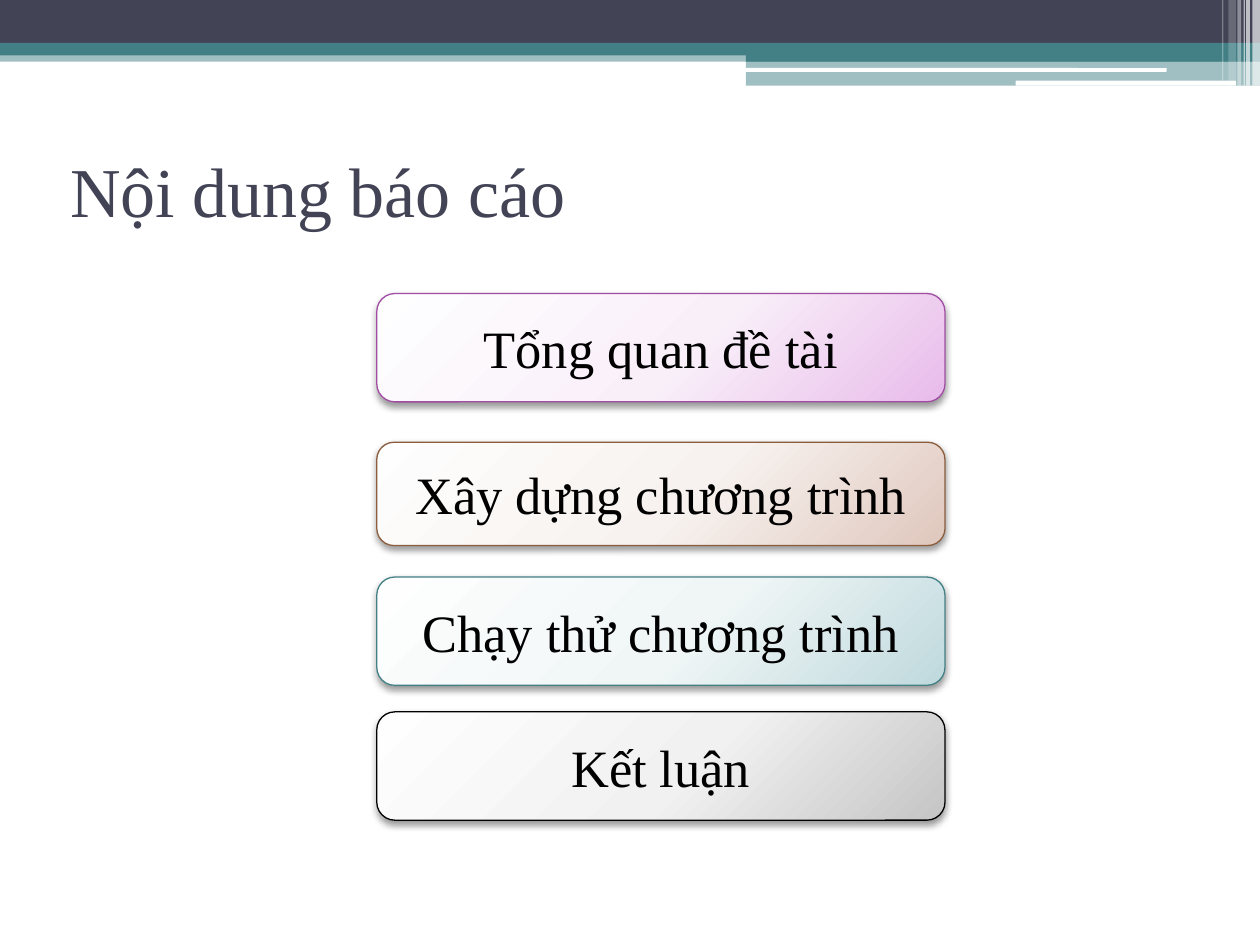
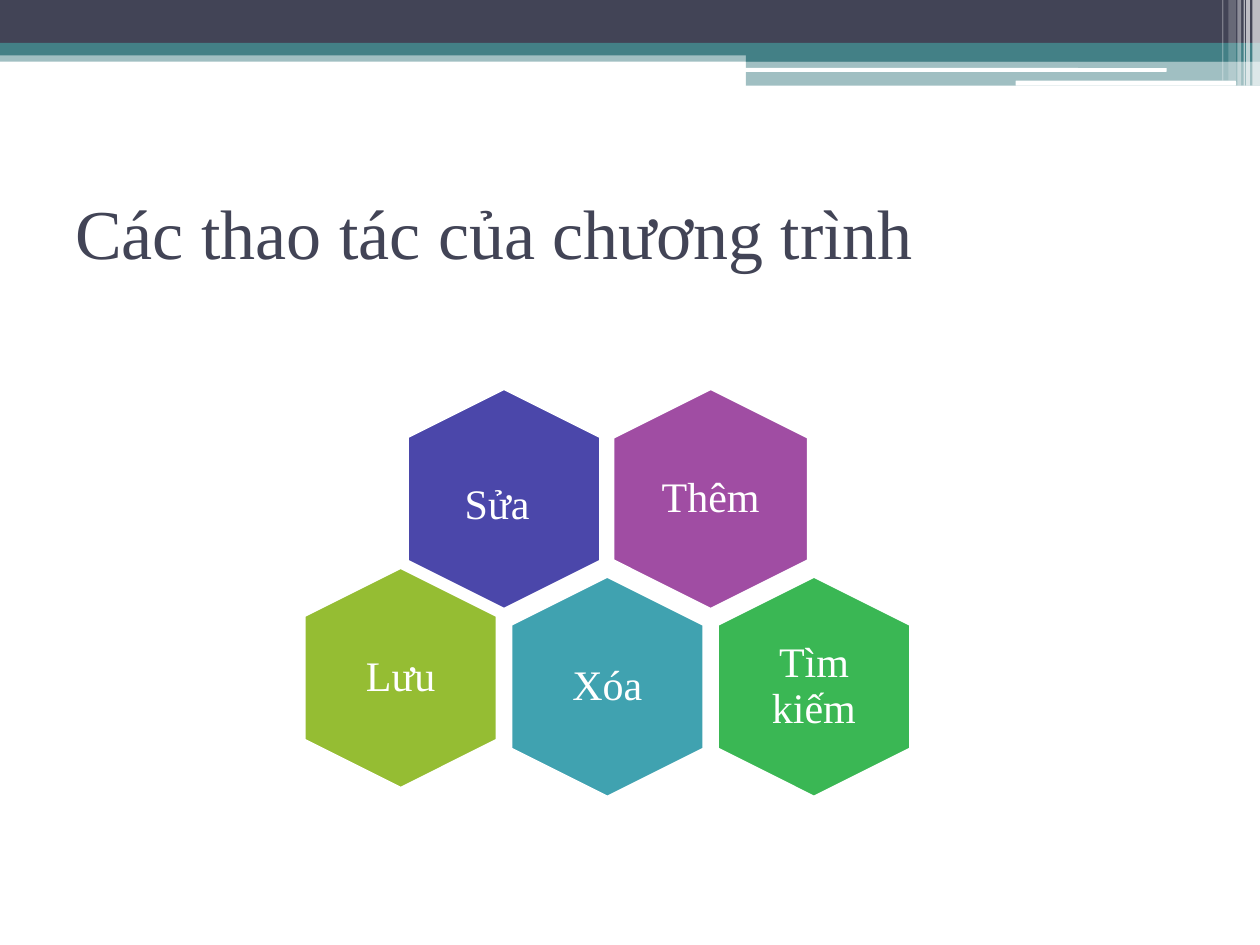
from dataclasses import dataclass

import lxml.etree
import pptx
import pptx.dml.color
import pptx.enum.shapes
import pptx.enum.text
import pptx.oxml
import pptx.oxml.ns
import pptx.util

Inches = pptx.util.Inches
Pt = pptx.util.Pt
SHAPES = pptx.enum.shapes.MSO_SHAPE
ALIGN = pptx.enum.text.PP_ALIGN


@dataclass(frozen=True)
class Theme:
    """Colours, fonts and type sizes of the deck."""
    navy: str = "424456"
    teal: str = "438086"
    white: str = "FFFFFF"
    black: str = "000000"
    purple: str = "A04DA3"
    brown: str = "8B5D3D"
    indigo: str = "4B47AA"
    cyan: str = "40A2B0"
    green: str = "3AB754"
    lime: str = "95BD33"
    font: str = "Times New Roman"
    tail_font: str = "Cambria"
    title_size: int = 40
    menu_size: int = 30
    label_size: int = 24
    tail_size: int = 36


THEME = Theme()

BANDS = [
    (0, 0.4, 10, 0.09, THEME.teal, 50),
    (0, 0, 10, 0.34, THEME.navy, 100),
    (0, 0.34, 10, 0.1, THEME.teal, 100),
    (5.92, 0.39, 4.08, 0.1, THEME.teal, 100),
    (5.92, 0.48, 4.08, 0.2, THEME.teal, 50),
]
RULES = [(5.91, 0.54, 3.35, 0.03), (8.06, 0.64, 1.75, 0.04)]
STRIPES = [
    (9.94, 0.06, 0.68, 65),
    (9.89, 0.03, 0.68, 65),
    (9.87, 0.01, 0.68, 60),
    (9.82, 0.03, 0.68, 40),
    (9.75, 0.06, 0.64, 20),
    (9.7, 0.01, 0.64, 30),
]
MENU = [
    ("Tổng quan đề tài", 2.33, 0.86, THEME.purple, ("FEFEFF", "F9EFF9", "E8BBEA")),
    ("Xây dựng chương trình", 3.51, 0.82, THEME.brown, ("FEFEFE", "F7F2EF", "DFC7BD")),
    ("Chạy thử chương trình", 4.58, 0.86, THEME.teal, ("FEFEFE", "F0F6F6", "BFD9DD")),
    ("Kết luận", 5.65, 0.86, THEME.black, ("FEFEFE", "F1F1F1", "C5C5C5")),
]
HEXAGONS = [
    ("Thêm", 3, 3.96, 1.55, THEME.purple),
    ("Sửa", 1, 3.96, 1.53, THEME.indigo),
    ("Xóa", 2, 5.45, 1.53, THEME.cyan),
    ("Tìm kiếm", 4, 5.45, 1.53, THEME.green),
    ("Lưu", 0, 5.38, 1.53, THEME.lime),
]


def rgb(colour):
    """Turn a hex string into a colour value."""
    return pptx.dml.color.RGBColor.from_string(colour)


def add_panel(page, kind, left, top, width, height, colour, opacity=100):
    """Add a flat, borderless shape with optional transparency."""
    panel = page.shapes.add_shape(
        kind, Inches(left), Inches(top), Inches(width), Inches(height))
    panel.shadow.inherit = False
    panel.line.fill.background()
    panel.fill.solid()
    panel.fill.fore_color.rgb = rgb(colour)
    if opacity < 100:
        tint = panel.fill._xPr.find(".//" + pptx.oxml.ns.qn("a:srgbClr"))
        alpha = lxml.etree.SubElement(tint, pptx.oxml.ns.qn("a:alpha"))
        alpha.set("val", str(opacity * 1000))
    return panel


def write_text(box, text, size, colour, align):
    """Write one vertically centred paragraph and return it."""
    frame = box.text_frame
    frame.word_wrap = True
    frame.vertical_anchor = pptx.enum.text.MSO_ANCHOR.MIDDLE
    para = frame.paragraphs[0]
    para.text = text
    para.alignment = align
    para.font.name = THEME.font
    para.font.size = Pt(size)
    para.font.color.rgb = rgb(colour)
    return para


def add_text(page, left, top, width, height, text, size, colour, align):
    """Add a text box and return its paragraph."""
    box = page.shapes.add_textbox(
        Inches(left), Inches(top), Inches(width), Inches(height))
    return box, write_text(box, text, size, colour, align)


def add_header(page):
    """Draw the bands, white rules and stripes at the top of a slide."""
    for left, top, width, height, colour, opacity in BANDS:
        add_panel(page, SHAPES.RECTANGLE, left, top, width, height, colour, opacity)
    for rule in RULES:
        add_panel(page, SHAPES.ROUNDED_RECTANGLE, *rule, THEME.white)
    for left, width, height, opacity in STRIPES:
        add_panel(page, SHAPES.RECTANGLE, left, 0, width, height, THEME.white, opacity)


def add_page(deck, title, left, top):
    """Add a blank slide with the shared header and a title."""
    page = deck.slides.add_slide(deck.slide_layouts[6])
    add_header(page)
    add_text(page, left, top, 9, 1.17, title,
             THEME.title_size, THEME.navy, ALIGN.LEFT)
    return page


def set_radial_fill(shape, colours):
    """Replace the solid fill with a circular three-stop gradient."""
    stops = "".join(
        f'<a:gs pos="{place * 1000}"><a:srgbClr val="{colour}"/></a:gs>'
        for place, colour in zip((0, 55, 100), colours))
    gradient = pptx.oxml.parse_xml(
        f'<a:gradFill {pptx.oxml.ns.nsdecls("a")} rotWithShape="1">'
        f'<a:gsLst>{stops}</a:gsLst><a:path path="circle">'
        '<a:fillToRect l="-40000" t="-90000" r="140000" b="190000"/>'
        '</a:path></a:gradFill>')
    properties = shape._element.spPr
    properties.replace(properties.find(pptx.oxml.ns.qn("a:solidFill")), gradient)


def set_shadow(shape):
    """Give the shape a soft shadow falling straight down."""
    effects = shape._element.spPr.find(pptx.oxml.ns.qn("a:effectLst"))
    effects.append(pptx.oxml.parse_xml(
        f'<a:outerShdw {pptx.oxml.ns.nsdecls("a")} blurRad="{Pt(4.1)}" '
        f'dist="{Pt(2)}" dir="5400000" rotWithShape="0">'
        f'<a:srgbClr val="{THEME.black}"><a:alpha val="40000"/></a:srgbClr>'
        '</a:outerShdw>'))


def add_menu_item(page, text, top, height, border, colours):
    """Add one rounded agenda button."""
    button = add_panel(page, SHAPES.ROUNDED_RECTANGLE,
                       2.99, top, 4.51, height, colours[0])
    set_radial_fill(button, colours)
    set_shadow(button)
    button.line.color.rgb = rgb(border)
    button.line.width = Pt(0.75)
    write_text(button, text, THEME.menu_size, THEME.black, ALIGN.CENTER)


def add_hexagon(page, text, step, middle, height, colour):
    """Add one upright hexagon with its label and return the paragraph."""
    centre = 3.18 + 0.82 * step
    width = 1.75
    hexagon = add_panel(page, SHAPES.HEXAGON, centre - width / 2,
                        middle - height / 2, width, height, colour)
    hexagon.rotation = 90
    hexagon.line.color.rgb = rgb(THEME.white)
    hexagon.line.width = Pt(1.5)
    label_width, label_height = 1.05, 1.21
    box, para = add_text(page, centre - label_width / 2, middle - label_height / 2,
                         label_width, label_height, text,
                         THEME.label_size, THEME.white, ALIGN.CENTER)
    frame = box.text_frame
    frame.margin_left = frame.margin_right = 0
    frame.margin_top = frame.margin_bottom = 0
    para.line_spacing = 0.9
    return para


def add_tail(para):
    """End the label with the wider space that lowers its baseline."""
    span = para.add_run()
    span.text = " "
    span.font.name = THEME.tail_font
    span.font.size = Pt(THEME.tail_size)


def main():
    """Build and save the deck."""
    deck = pptx.Presentation()
    deck.slide_width = Inches(10)
    deck.slide_height = Inches(7.5)

    agenda = add_page(deck, "Nội dung báo cáo", 0.46, 0.92)
    for item in MENU:
        add_menu_item(agenda, *item)

    actions = add_page(deck, "Các thao tác của chương trình", 0.5, 1.25)
    labels = {item[0]: add_hexagon(actions, *item) for item in HEXAGONS}
    add_tail(labels["Sửa"])

    deck.save("out.pptx")


if __name__ == "__main__":
    main()
